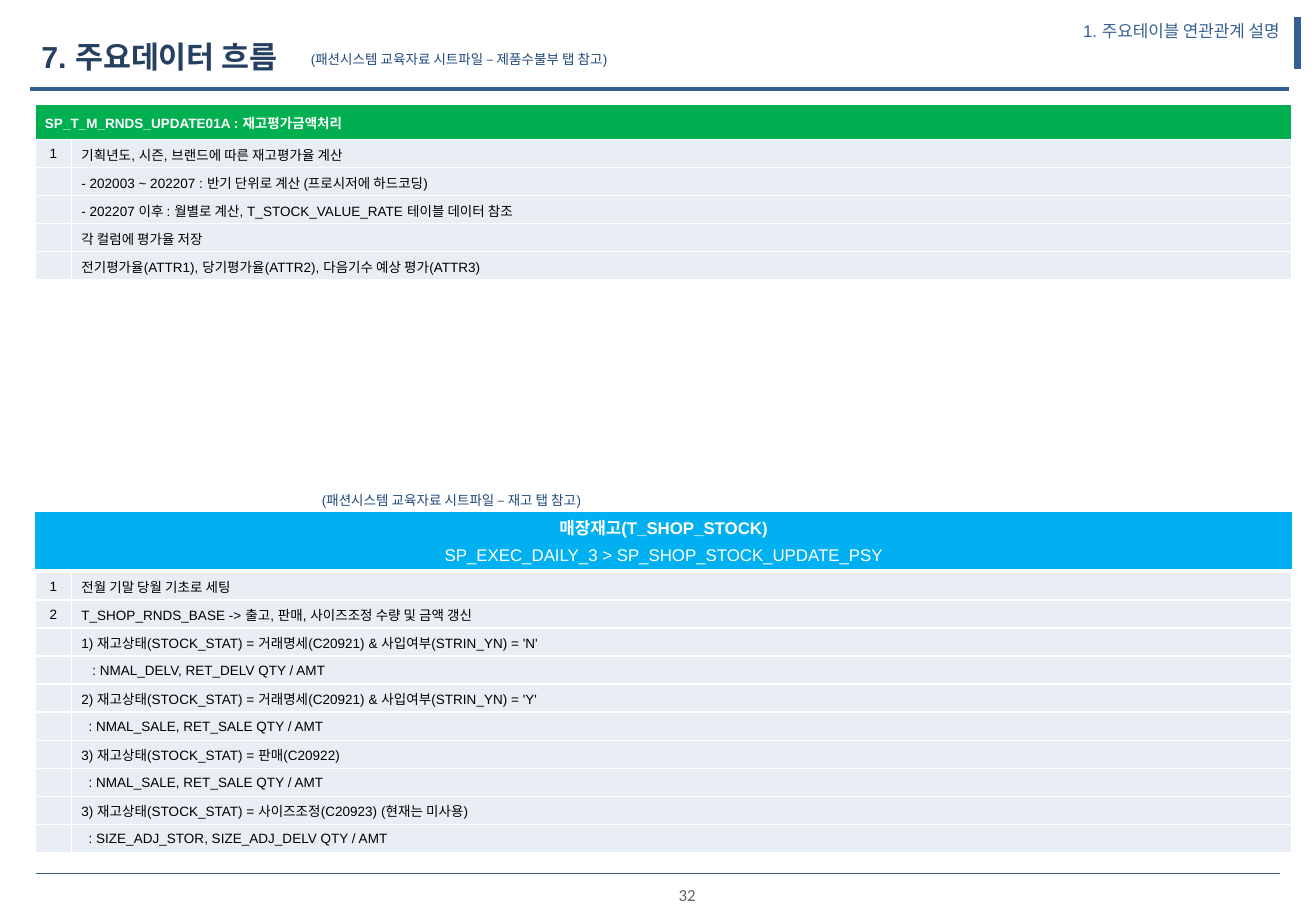
from dataclasses import dataclass

from lxml.etree import SubElement
from pptx import Presentation
from pptx.dml.color import RGBColor
from pptx.enum.shapes import MSO_CONNECTOR
from pptx.enum.text import MSO_ANCHOR, MSO_AUTO_SIZE, PP_ALIGN
from pptx.oxml.ns import qn
from pptx.util import Emu, Inches, Pt

W, H = Inches(10.83), Inches(7.5)
LEFT, WIDTH = 2.68, 95.48
COLS = (2.77, 92.71)
ROW, HEAD_ROW = 3.08, 3.84
NAVY, BLUE, NOTE = "254061", "376092", "1F497D"
WHITE, BLACK, GREY, PALE = "FFFFFF", "000000", "646464", "E9EDF4"
GREEN, SKY = "00B050", "00B0F0"


@dataclass
class Rule:
    x1: float
    y1: float
    x2: float
    y2: float
    weight: float


@dataclass
class Label:
    text: str
    x: float
    y: float
    w: float
    h: float
    size: int = 8
    color: str = NOTE
    font: str = "Arial"
    align: PP_ALIGN = PP_ALIGN.LEFT


@dataclass
class Step:
    text: str
    number: str = ""
    indent: float = 0


RULES = [
    Rule(2.77, 95.87, 97.23, 95.87, 0.25),
    Rule(98.61, 7.6, 98.61, 1.87, 4.5),
    Rule(2.31, 9.73, 97.97, 9.73, 2.25),
]
LABELS = [
    Label("32", 50.42, 96.4, 3.6, 3.87, 10, GREY, "Calibri", PP_ALIGN.CENTER),
    Label("(패션시스템 교육자료 시트파일 – 제품수불부 탭 참고)", 22.71, 4.93, 26.78, 3.2),
    Label("(패션시스템 교육자료 시트파일 – 재고 탭 참고)", 23.55, 53.33, 26.78, 3.2),
]
VALUATION = [
    Step("기획년도, 시즌, 브랜드에 따른 재고평가율 계산", "1"),
    Step("- 202003 ~ 202207 : 반기 단위로 계산 (프로시저에 하드코딩)"),
    Step("- 202207 이후 : 월별로 계산, T_STOCK_VALUE_RATE 테이블 데이터 참조"),
    Step("각 컬럼에 평가율 저장"),
    Step("전기평가율(ATTR1), 당기평가율(ATTR2), 다음기수 예상 평가(ATTR3)"),
]
SHOP_STOCK = [
    Step("전월 기말 당월 기초로 세팅", "1"),
    Step("T_SHOP_RNDS_BASE -> 출고, 판매, 사이즈조정 수량 및 금액 갱신", "2"),
    Step("1) 재고상태(STOCK_STAT) = 거래명세(C20921) & 사입여부(STRIN_YN) = 'N'"),
    Step(": NMAL_DELV, RET_DELV QTY / AMT", indent=0.09),
    Step("2) 재고상태(STOCK_STAT) = 거래명세(C20921) & 사입여부(STRIN_YN) = 'Y'"),
    Step(": NMAL_SALE, RET_SALE QTY / AMT", indent=0.06),
    Step("3) 재고상태(STOCK_STAT) = 판매(C20922)"),
    Step(": NMAL_SALE, RET_SALE QTY / AMT", indent=0.06),
    Step("3) 재고상태(STOCK_STAT) = 사이즈조정(C20923) (현재는 미사용)"),
    Step(": SIZE_ADJ_STOR, SIZE_ADJ_DELV QTY / AMT", indent=0.06),
]


def px(share: float) -> Emu:
    return Emu(round(W * share / 100))


def py(share: float) -> Emu:
    return Emu(round(H * share / 100))


def rgb(color: str) -> RGBColor:
    return RGBColor.from_string(color)


def write(tf, text: str, *, size: int = 8, color: str = BLACK, font: str = "Arial",
          bold: bool = False, align: PP_ALIGN = PP_ALIGN.LEFT):
    p = tf.paragraphs[0]
    p.alignment = align
    if not text:
        SubElement(p._p, qn("a:endParaRPr")).set("sz", str(size * 100))
        return p
    r = p.add_run()
    r.text = text
    r.font.size, r.font.name, r.font.bold = Pt(size), font, bold
    r.font.color.rgb = rgb(color)
    return p


def place(sp, x: float, y: float, w: float, h: float) -> None:
    sp.left, sp.top, sp.width, sp.height = px(x), py(y), px(w), py(h)


def add_rule(s, rule: Rule) -> None:
    line = s.shapes.add_connector(MSO_CONNECTOR.STRAIGHT, px(rule.x1), py(rule.y1),
                                  px(rule.x2), py(rule.y2))
    line.line.color.rgb = rgb(BLUE)
    line.line.width = Pt(rule.weight)
    SubElement(line._element.spPr, qn("a:effectLst"))


def add_label(s, label: Label) -> None:
    sp = s.shapes.add_textbox(px(label.x), py(label.y), px(label.w), py(label.h))
    sp.text_frame.word_wrap = True
    write(sp.text_frame, label.text, size=label.size, color=label.color,
          font=label.font, align=label.align)


def fill_cell(cell, text: str, *, fill: str = PALE, border: str = WHITE,
              margin: float = 0.08, indent: float = 0, **fmt) -> None:
    cell.vertical_anchor = MSO_ANCHOR.MIDDLE
    cell.margin_left, cell.margin_right = Inches(margin + indent), Inches(margin)
    cell.margin_top, cell.margin_bottom = Inches(0.01), 0
    tc_pr = cell._tc.get_or_add_tcPr()
    for side in ("lnL", "lnR", "lnT", "lnB"):
        ln = SubElement(tc_pr, qn(f"a:{side}"), w=str(Pt(1)))
        SubElement(SubElement(ln, qn("a:solidFill")), qn("a:srgbClr"), val=border)
    cell.fill.solid()
    cell.fill.fore_color.rgb = rgb(fill)
    write(cell.text_frame, text, **fmt)


def add_grid(s, top: float, cols: tuple[float, ...], rows: list[float]):
    frame = s.shapes.add_table(len(rows), len(cols), px(LEFT), py(top),
                               px(WIDTH), py(sum(rows)))
    tbl = frame.table
    tbl.first_row = tbl.horz_banding = False
    for col, share in zip(tbl.columns, cols):
        col.width = px(share)
    for row, share in zip(tbl.rows, rows):
        row.height = py(share)
    return tbl


def add_steps(s, top: float, steps: list[Step], heading: str = "") -> None:
    heads = [HEAD_ROW] if heading else []
    tbl = add_grid(s, top, COLS, heads + [ROW] * len(steps))
    if heading:
        tbl.cell(0, 0).merge(tbl.cell(0, 1))
        fill_cell(tbl.cell(0, 0), heading, fill=GREEN, color=WHITE, bold=True)
    for i, step in enumerate(steps, len(heads)):
        fill_cell(tbl.cell(i, 0), step.number, margin=0.01, align=PP_ALIGN.CENTER)
        fill_cell(tbl.cell(i, 1), step.text, indent=step.indent)


def add_banner(s, top: float, lines: list[str]) -> None:
    tbl = add_grid(s, top, (WIDTH,), [ROW] * len(lines))
    for i, text in enumerate(lines):
        fill_cell(tbl.cell(i, 0), text, fill=SKY, border=SKY, margin=0.01, size=10,
                  color=WHITE, bold=i == 0, align=PP_ALIGN.CENTER)


def add_headings(s) -> None:
    title, body = s.placeholders[0], s.placeholders[1]
    place(title, 2.77, 4, 68.33, 4.93)
    place(body, 63.43, 1.6, 34.72, 6.27)
    for sp, anchor in ((title, MSO_ANCHOR.MIDDLE), (body, MSO_ANCHOR.TOP)):
        sp.text_frame.word_wrap = True
        sp.text_frame.auto_size = MSO_AUTO_SIZE.NONE
        sp.text_frame.vertical_anchor = anchor
    tf = title.text_frame
    tf.margin_left = tf.margin_right = tf.margin_top = tf.margin_bottom = Inches(0.04)
    p = write(tf, "7. 주요데이터 흐름", size=18, color=NAVY, bold=True)
    p.line_spacing = 0.85
    p = write(body.text_frame, "1. 주요테이블 연관관계 설명", size=10, color=BLUE,
              align=PP_ALIGN.RIGHT)
    p_pr = p._p.get_or_add_pPr()
    p_pr.set("marL", "0")
    p_pr.set("indent", "0")
    SubElement(p_pr, qn("a:buNone"))
    p.space_before, p.space_after = Pt(0), Pt(1)


def main() -> None:
    prs = Presentation()
    prs.slide_width, prs.slide_height = W, H
    s = prs.slides.add_slide(prs.slide_layouts[1])
    add_headings(s)
    for rule in RULES:
        add_rule(s, rule)
    add_steps(s, 11.47, VALUATION, "SP_T_M_RNDS_UPDATE01A : 재고평가금액처리")
    add_banner(s, 56.27, ["매장재고(T_SHOP_STOCK)",
                          "SP_EXEC_DAILY_3 > SP_SHOP_STOCK_UPDATE_PSY"])
    add_steps(s, 62.8, SHOP_STOCK)
    for label in LABELS:
        add_label(s, label)
    prs.save("out.pptx")


if __name__ == "__main__":
    main()
